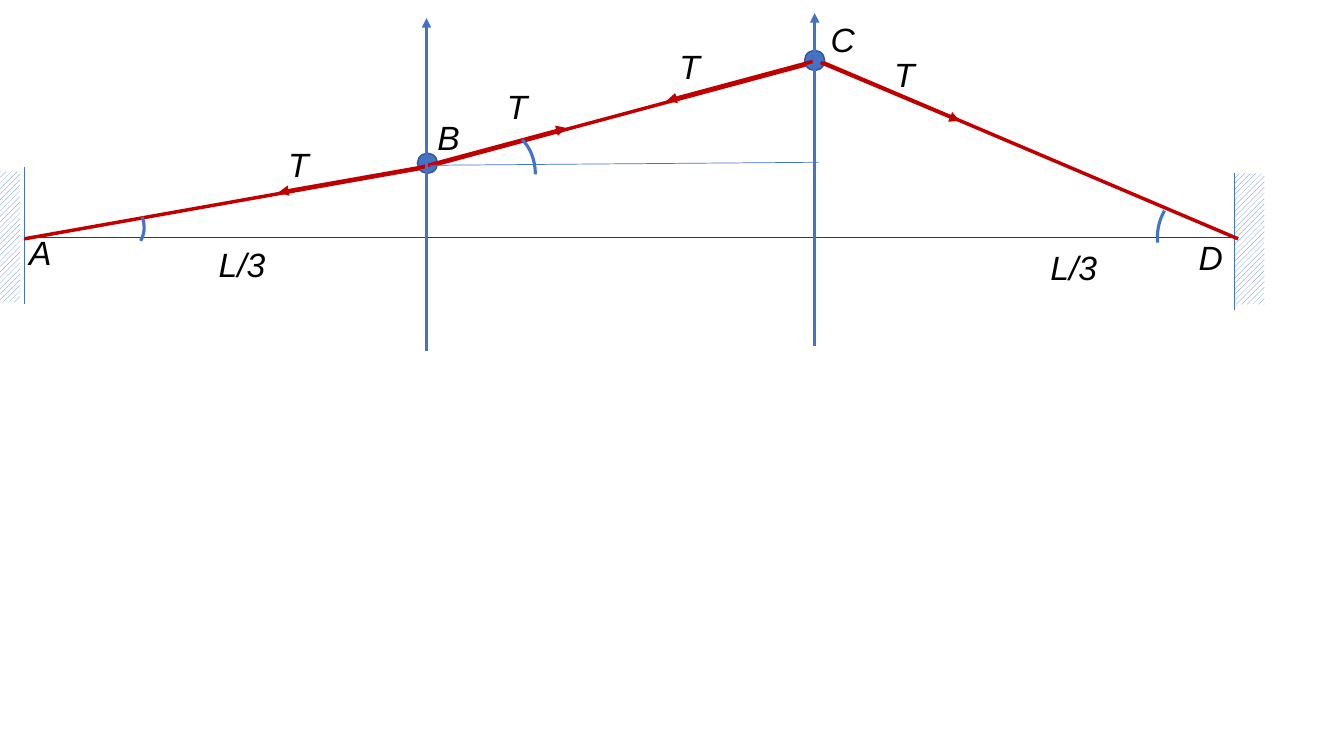
from lxml import etree
from pptx import Presentation
from pptx.dml.color import RGBColor
from pptx.enum import dml, shapes, text
from pptx.oxml import ns
from pptx.util import Inches, Pt

BLUE = RGBColor(0x44, 0x72, 0xC4)
DARK_BLUE = RGBColor(0x32, 0x54, 0x91)
RED = RGBColor(0xC0, 0x00, 0x00)
BLACK = RGBColor(0x00, 0x00, 0x00)
WHITE = RGBColor(0xFF, 0xFF, 0xFF)

presentation = Presentation()
presentation.slide_width = Inches(13.33)
presentation.slide_height = Inches(7.5)
slide = presentation.slides.add_slide(presentation.slide_layouts[6])


def add_line(start, end, color, width, arrow=False):
    line = slide.shapes.add_connector(
        shapes.MSO_CONNECTOR.STRAIGHT,
        Inches(start[0]), Inches(start[1]), Inches(end[0]), Inches(end[1]))
    line.line.color.rgb = color
    line.line.width = Pt(width)
    if arrow:
        outline = line.line._get_or_add_ln()
        etree.SubElement(outline, ns.qn("a:tailEnd"), type="triangle")
    etree.SubElement(line._element.spPr, ns.qn("a:effectLst"))


def add_preset(kind, left, top, width, height):
    shape = slide.shapes.add_shape(
        kind, Inches(left), Inches(top), Inches(width), Inches(height))
    shape.shadow.inherit = False
    return shape


for hatch_left, hatch_top, edge_x, edge_top in [
    (-0.1, 1.7, 0.24, 1.66),
    (12.24, 1.72, 12.24, 1.72),
]:
    wall = add_preset(shapes.MSO_SHAPE.RECTANGLE, hatch_left, hatch_top, 0.3, 1.3)
    wall.fill.patterned()
    wall.fill.pattern = dml.MSO_PATTERN.WIDE_UPWARD_DIAGONAL
    wall.fill.fore_color.rgb = BLUE
    wall.fill.back_color.rgb = WHITE
    wall.line.fill.background()
    add_line((edge_x, edge_top), (edge_x, edge_top + 1.36), BLUE, 0.5)

add_line((0.25, 2.35), (12.25, 2.35), RED, 0.5)

for start, end in [
    ((0.24, 2.37), (4.18, 1.67)),
    ((4.22, 1.66), (8.08, 0.62)),
    ((8.14, 0.61), (12.28, 2.37)),
]:
    add_line(start, end, RED, 2.5)

for left, top in [(4.14, 1.52), (7.98, 0.5)]:
    bead = add_preset(shapes.MSO_SHAPE.OVAL, left, top, 0.2, 0.2)
    bead.fill.solid()
    bead.fill.fore_color.rgb = BLUE
    bead.line.color.rgb = DARK_BLUE
    bead.line.width = Pt(1)

for start, tip in [
    ((4.23, 1.65), (2.76, 1.91)),
    ((4.17, 1.66), (5.62, 1.27)),
    ((8.06, 0.61), (6.61, 1)),
    ((8.14, 0.62), (9.52, 1.2)),
]:
    add_line(start, tip, RED, 2.5, arrow=True)

for axis_x, axis_top in [(8.08, 0.13), (4.23, 0.18)]:
    add_line((axis_x, axis_top + 3.3), (axis_x, axis_top), BLUE, 2.25, arrow=True)

add_line((4.26, 1.64), (8.12, 1.61), BLUE, 0.5)

for box, start_angle, end_angle in [
    ((0.84, 1.97, 0.59, 0.57), 203.73, 16.43),
    ((4.69, 1.31, 0.62, 0.84), 178.61, 0),
    ((11.48, 1.84, 1, 1.03), 104.35, 126.95),
]:
    angle_arc = add_preset(shapes.MSO_SHAPE.ARC, *box)
    angle_arc.adjustments[0] = start_angle
    angle_arc.adjustments[1] = end_angle
    angle_arc.fill.background()
    angle_arc.line.color.rgb = BLUE
    angle_arc.line.width = Pt(2.25)

for label, left, top, width in [
    ("A", 0.19, 2.25, 0.43),
    ("B", 4.24, 1.11, 0.43),
    ("C", 8.14, 0.14, 0.45),
    ("D", 11.79, 2.3, 0.45),
    ("T", 2.76, 1.38, 0.41),
    ("T", 4.93, 0.8, 0.41),
    ("T", 6.64, 0.41, 0.41),
    ("T", 8.77, 0.49, 0.41),
    ("L/3", 2.07, 2.37, 0.67),
    ("L/3", 10.32, 2.4, 1.26),
]:
    text_box = slide.shapes.add_textbox(
        Inches(left), Inches(top), Inches(width), Inches(0.5))
    frame = text_box.text_frame
    frame.word_wrap = width > 1
    frame.auto_size = text.MSO_AUTO_SIZE.SHAPE_TO_FIT_TEXT
    run = frame.paragraphs[0].add_run()
    run.text = label
    run.font.name = "Arial"
    run.font.size = Pt(24)
    run.font.italic = True
    run.font.color.rgb = BLACK

presentation.save("out.pptx")
